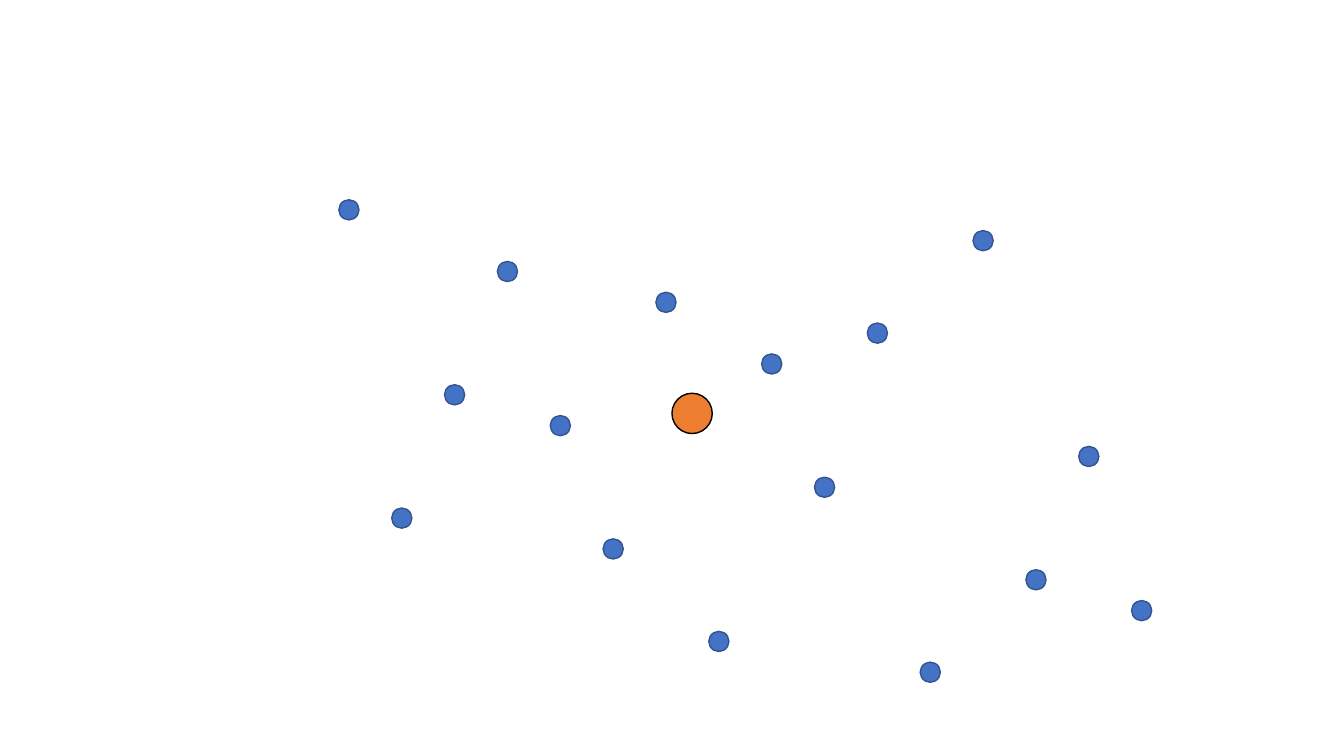
"""Build a slide of scattered blue dots around one orange centre."""
from pptx import Presentation
from pptx import util as u
from pptx.dml import color
from pptx.enum import shapes

deck = Presentation()
deck.slide_width, deck.slide_height = u.Pt(960), u.Pt(540)
slide = deck.slides.add_slide(deck.slide_layouts[6])


def paint(form, shade):
    form.solid()
    form.fore_color.rgb = color.RGBColor.from_string(shade)


def add_dot(mid_x, mid_y, size, fill, edge):
    dot = slide.shapes.add_shape(
        shapes.MSO_SHAPE.OVAL, u.Pt(mid_x - size / 2), u.Pt(mid_y - size / 2),
        u.Pt(size), u.Pt(size))
    dot.shadow.inherit = False
    paint(dot.fill, fill)
    paint(dot.line.fill, edge)
    dot.line.width = u.Pt(1)


left, top = 249.25, 149.9
step_x, step_y = 37.75, 22.02
rows = [0, 10, 6, 2, 7, 11, 3, 14, 5, 9, 4, 15, 1, 12, 8, 13]

for col, row in enumerate(rows):
    add_dot(left + col * step_x, top + row * step_y, 14.4, "4472C4", "325491")
add_dot(494.4, 295.3, 28.8, "ED7D31", "000000")

deck.save("out.pptx")
